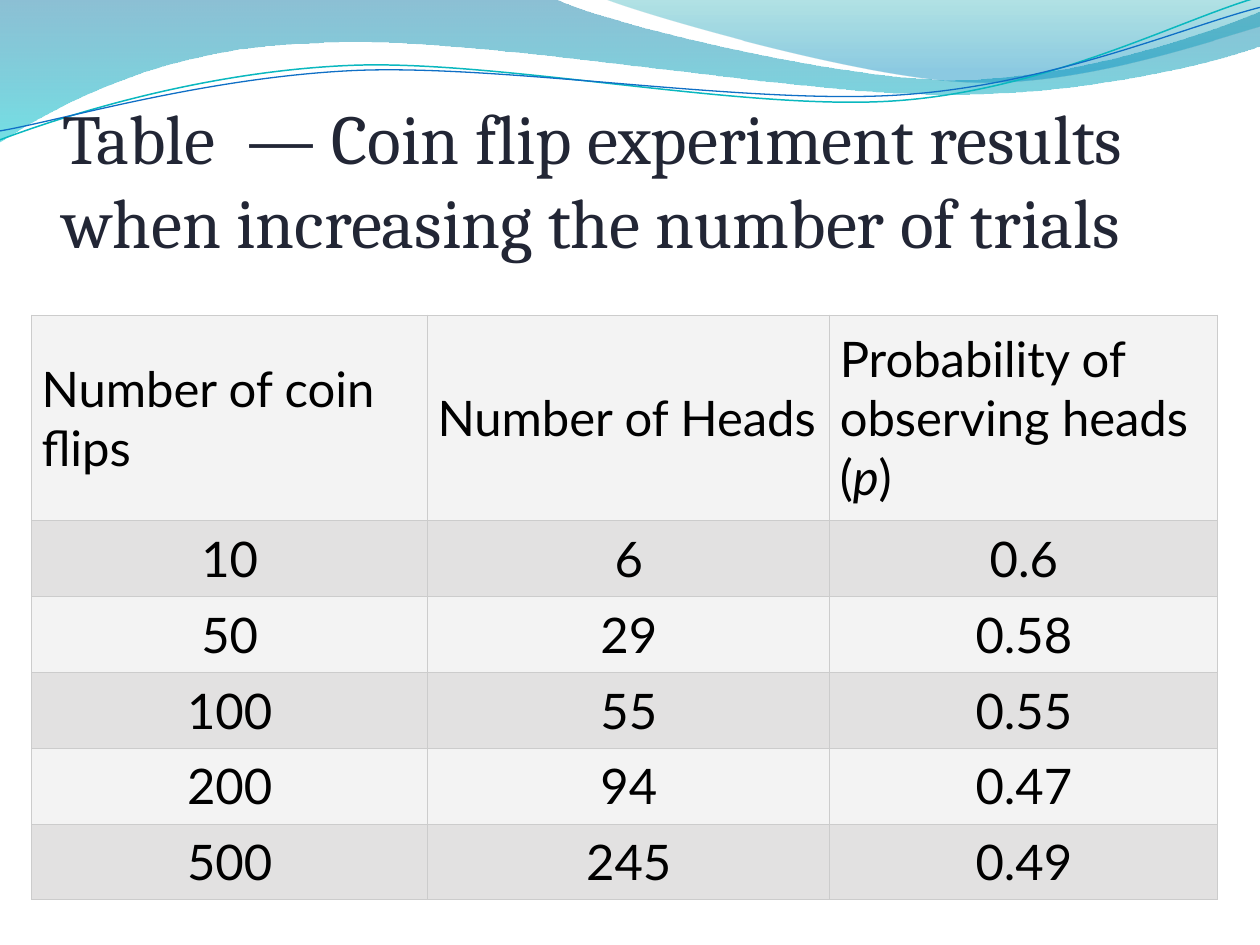
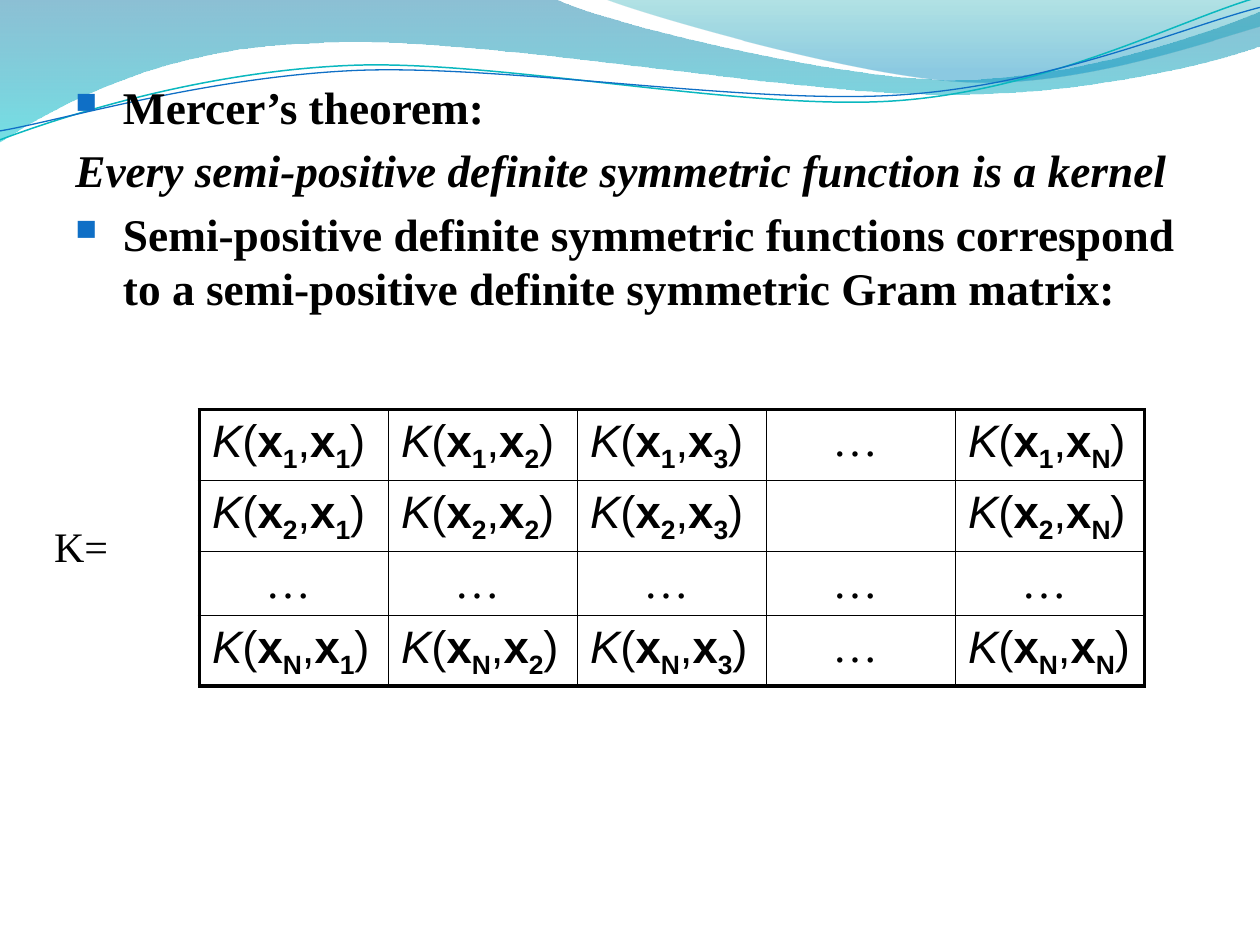
from lxml.etree import SubElement as Sub
from pptx import Presentation as Deck
from pptx.dml.color import RGBColor as Rgb
from pptx.enum.text import MSO_ANCHOR as Anchor, PP_ALIGN as Align
from pptx.oxml.ns import qn
from pptx.util import Cm, Pt

HUES = {
    "ink": "000000", "title": "222635", "blue": "0F6FC6", "teal": "0AB8BF",
    "grid": "CCCCCC", "light": "F3F3F3", "dark": "E2E1E1",
    "deep": "0074A1", "aqua": "00C6CF", "sea": "00A1A9", "sky": "008BBF",
}
SERIF = "Times New Roman"

# Wave paths in cm: a pair is a corner, six numbers are a curve
BANDS = [
    ([(0, 0), (11.18, -0.03),
      (12.09, 0.43, 16.87, 1.6, 19.25, 1.6),
      (21.67, 1.6, 24.33, 0.66, 25.4, 0.23), (25.43, 0.91),
      (24.97, 1.12, 22.1, 1.93, 18.95, 1.9),
      (15.8, 1.9, 9.7, 0.71, 6.53, 0.86),
      (3.28, 0.91, 1.17, 2.11, -0.03, 2.87), (0, 0)],
     [(0, "deep", 45), (1, "aqua", 55)]),
    ([(12.17, -0.03),
      (12.93, 0.28, 17.32, 1.57, 19.53, 1.65),
      (21.74, 1.75, 24.41, 0.81, 25.4, 0.53), (25.4, 0), (12.17, -0.03)],
     [(0, "sea", 30), (0.8, "sky", 45)]),
]
LINES = [
    ([(0, 2.82), (1.22, 2.36, 4.01, 1.45, 7.04, 1.32),
      (10.03, 1.19, 15.06, 2.26, 18.11, 2.03),
      (21.16, 1.8, 23.83, 0.38, 25.35, -0.05)], "teal", 0.85),
    ([(0, 2.64), (1.19, 2.44, 4.17, 1.55, 7.19, 1.42),
      (10.24, 1.3, 15.16, 2.13, 18.21, 1.91),
      (21.23, 1.7, 23.9, 0.53, 25.4, 0.15)], "blue", 0.75),
]


def hue(name):
    return Rgb.from_string(HUES[name])


def add_path(slide, route, close):
    """Build the outline, then join each curve's three points."""
    dots = [(Cm(x), Cm(y)) for part in route
            for x, y in zip(part[::2], part[1::2])]
    pen = slide.shapes.build_freeform(*dots[0])
    pen.add_line_segments(dots[1:], close=close)
    shape = pen.convert_to_shape()
    shape.shadow.inherit = False
    legs = iter(list(shape._element.iter(qn("a:lnTo"))))
    for part in route[1:]:
        leg = next(legs)
        if len(part) == 6:
            curve = leg.makeelement(qn("a:cubicBezTo"))
            leg.addprevious(curve)
            for old in (leg, next(legs), next(legs)):
                curve.append(old[0])
                old.getparent().remove(old)
    return shape


def add_waves(slide):
    for route, stops in BANDS:
        band = add_path(slide, route, True)
        band.line.fill.background()
        band.fill.gradient()
        band.fill.gradient_angle = 270
        for stop, (place, name, _) in zip(band.fill.gradient_stops, stops):
            stop.position = place
            stop.color.rgb = hue(name)
        tints = band._element.spPr.iter(qn("a:srgbClr"))
        for tint, (_, _, alpha) in zip(tints, stops):
            Sub(tint, qn("a:alpha"), val=str(alpha * 1000))
    for route, name, width in LINES:
        line = add_path(slide, route, False)
        line.fill.background()
        line.line.color.rgb = hue(name)
        line.line.width = Pt(width)


def write(par, parts, face, size, name="ink"):
    """Parts are (text, marks): b bold, i italic, s subscript."""
    if isinstance(parts, str):
        parts = [(parts, "")]
    for text, marks in parts:
        run = par.add_run()
        run.text = text
        font = run.font
        font.name, font.size = face, Pt(size)
        font.color.rgb = hue(name)
        font.bold, font.italic = "b" in marks, "i" in marks
        if "s" in marks:
            run._r.get_or_add_rPr().set("baseline", "-25000")


def add_box(slide, *place):
    frame = slide.shapes.add_textbox(*map(Cm, place)).text_frame
    frame.word_wrap = True
    return frame


def add_title(slide, text):
    frame = add_box(slide, 1.27, 2.13, 22.86, 3.17)
    frame.margin_left = frame.margin_right = frame.margin_bottom = 0
    frame.vertical_anchor = Anchor.BOTTOM
    write(frame.paragraphs[0], text, "Cambria", 40, "title")


def set_mark(par, shown):
    """Hang the paragraph, with a square bullet if shown."""
    props = par._p.get_or_add_pPr()
    props.set("marL", str(Cm(0.96)))
    props.set("indent", str(Cm(-0.96)))
    if not shown:
        Sub(props, qn("a:buNone"))
        return
    Sub(Sub(props, qn("a:buClr")), qn("a:srgbClr"), val=HUES["blue"])
    Sub(props, qn("a:buSzPct"), val="65000")
    Sub(props, qn("a:buFont"), typeface="Wingdings", charset="2")
    Sub(props, qn("a:buChar"), char="n")


def add_list(slide, items):
    frame = add_box(slide, 1.27, 1.47, 22.86, 5.51)
    for spot, (text, marks, shown) in enumerate(items):
        par = frame.add_paragraph() if spot else frame.paragraphs[0]
        set_mark(par, shown)
        if spot:
            par.space_before = Pt(5.2)
        write(par, [(text, marks)], SERIF, 25.9)


def add_grid(slide, left, top, wides, highs):
    """Place a plain table and return it."""
    shape = slide.shapes.add_table(len(highs), len(wides), Cm(left), Cm(top),
                                   Cm(sum(wides)), Cm(sum(highs)))
    table = shape.table
    table.first_row = table.horz_banding = False
    for col, wide in zip(table.columns, wides):
        col.width = Cm(wide)
    for row, high in zip(table.rows, highs):
        row.height = Cm(high)
    return table


def set_edge(cell, name, widths):
    """Widths are given for left, right, top and bottom."""
    props = cell._tc.get_or_add_tcPr()
    for side, width in zip("LRTB", widths):
        line = Sub(props, qn("a:ln" + side), w=str(Pt(width)))
        Sub(Sub(line, qn("a:solidFill")), qn("a:srgbClr"), val=HUES[name])


def add_flips(slide):
    heads = ["Number of coin flips", "Number of Heads",
             [("Probability of observing heads (", ""), ("p", "i"), (")", "")]]
    tests = [("10", "6", "0.6"), ("50", "29", "0.58"), ("100", "55", "0.55"),
             ("200", "94", "0.47"), ("500", "245", "0.49")]
    table = add_grid(slide, 0.64, 6.35, [7.98, 8.11, 7.82],
                     [4.14] + [1.53] * len(tests))
    for r, row in enumerate([heads] + tests):
        for c, text in enumerate(row):
            cell = table.cell(r, c)
            set_edge(cell, "grid", [0.6] * 4)
            cell.fill.solid()
            cell.fill.fore_color.rgb = hue("dark" if r % 2 else "light")
            cell.margin_left = cell.margin_right = Cm(0.2)
            cell.margin_top = cell.margin_bottom = Cm(0.1)
            cell.vertical_anchor = Anchor.MIDDLE
            par = cell.text_frame.paragraphs[0]
            par.alignment = Align.CENTER if r else Align.LEFT
            write(par, text, "Lato", 28)


def add_gram(slide):
    rows, cols = ["1", "2", "…", "N"], ["1", "2", "3", "…", "N"]
    table = add_grid(slide, 4.02, 8.26, [3.81] * len(cols),
                     [1.43, 1.43, 1.29, 1.41])
    for r, row in enumerate(rows):
        for c, col in enumerate(cols):
            cell = table.cell(r, c)
            rims = (c == 0, col == "N", r == 0, row == "N")
            set_edge(cell, "ink", [2.25 if rim else 1 for rim in rims])
            cell.fill.background()
            cell.margin_bottom = Cm(0.04)
            par = cell.text_frame.paragraphs[0]
            if (row, col) == ("2", "…"):
                continue  # this cell stays blank
            if "…" in (row, col):
                par.alignment = Align.CENTER
                write(par, "… ", SERIF, 26)
            else:
                write(par, [("K", "i"), ("(", ""), ("x", "b"), (row, "bs"),
                            (",", ""), ("x", "b"), (col, "bs"), (")", "")],
                      "Arial", 26)


def main():
    deck = Deck()
    deck.slide_width, deck.slide_height = Cm(25.4), Cm(19.05)
    blank = deck.slide_layouts[6]

    # Coin flips
    flips = deck.slides.add_slide(blank)
    add_waves(flips)
    add_title(flips, "Table  — Coin flip experiment results "
                     "when increasing the number of trials")
    add_flips(flips)

    # Gram matrix
    gram = deck.slides.add_slide(blank)
    add_waves(gram)
    add_list(gram, [
        ("Mercer’s theorem:", "b", True),
        ("Every semi-positive definite symmetric function is a kernel",
         "bi", False),
        ("Semi-positive definite symmetric functions correspond to a "
         "semi-positive definite symmetric Gram matrix:", "b", True),
    ])
    add_gram(gram)
    label = add_box(gram, 0.84, 10.36, 2.69, 1.27)
    write(label.paragraphs[0], "K=", SERIF, 24)

    deck.save("out.pptx")


if __name__ == "__main__":
    main()
